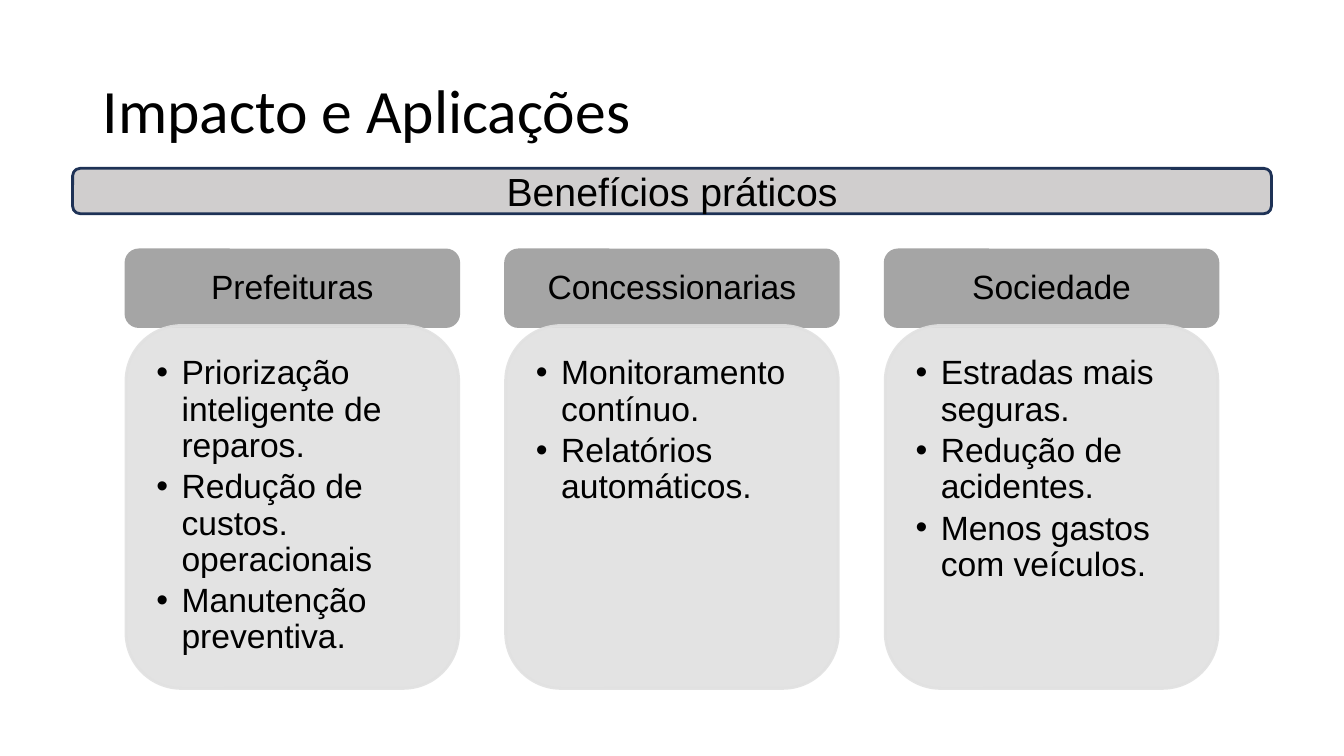
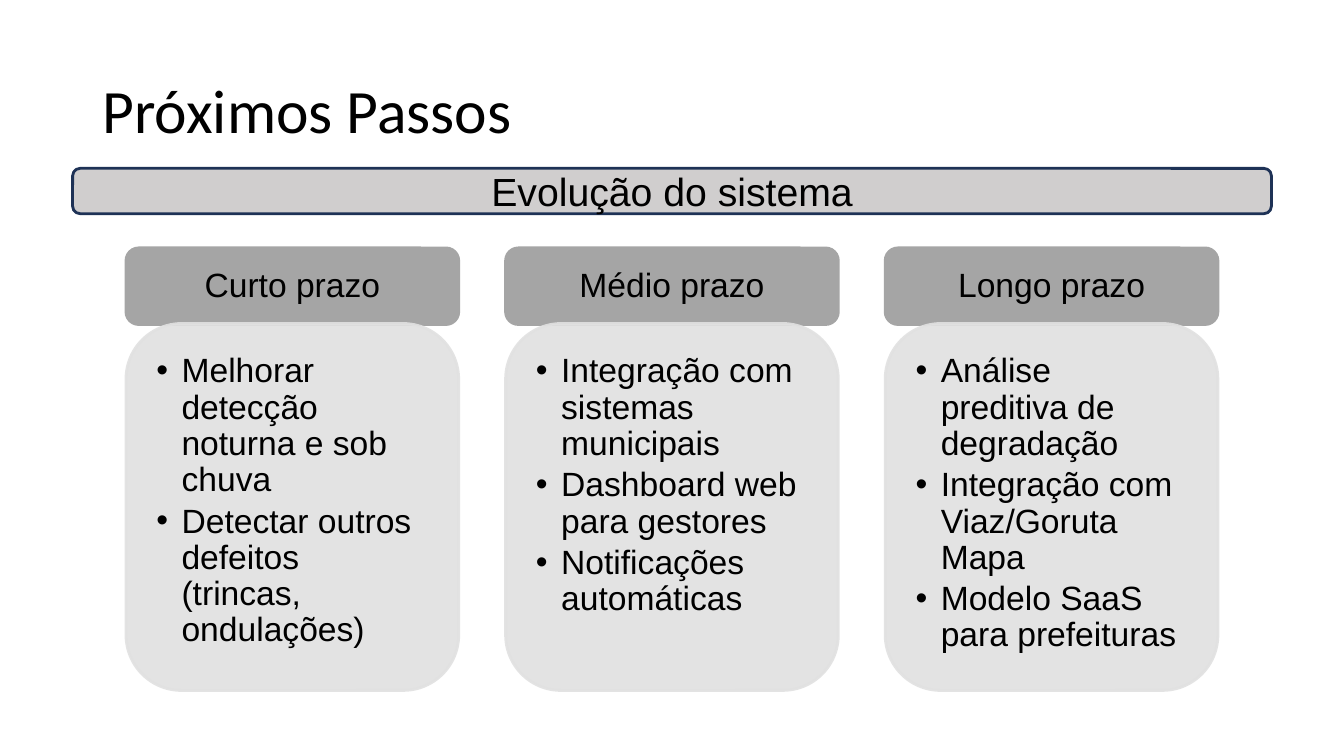
from dataclasses import dataclass
from lxml.etree import SubElement
from pptx import Presentation
from pptx.dml.color import RGBColor
from pptx.enum.shapes import MSO_SHAPE
from pptx.enum.text import MSO_ANCHOR, PP_ALIGN
from pptx.oxml.ns import qn
from pptx.util import Inches, Pt


@dataclass(frozen=True)
class Theme:
    ink: str = "000000"
    band: str = "D0CECE"
    edge: str = "1E3256"
    head: str = "A5A5A5"
    body: str = "E1E1E1"
    title: int = 44
    lead: int = 28
    text: int = 24
    title_font: str = "Calibri"
    font: str = "Arial"
    border: int = 2
    alpha: int = 90


THEME = Theme()
SIDES = ("margin_left", "margin_top", "margin_right", "margin_bottom")
PLAIN = (0.1, 0.05, 0.1, 0.05)
HEAD_PAD = (0.19, 0.11, 0.19, 0.11)
BODY_PAD = (0.14, 0.14, 0.19, 0.21)
CENTER = {"alignment": PP_ALIGN.CENTER}
TIGHT = {"line_spacing": 0.9}
LIST = {"level": 1, "alignment": PP_ALIGN.LEFT, "space_after": Pt(3.6), **TIGHT}


def apply(target, values):
    for name, value in values.items():
        setattr(target, name, value)


def bullet(para):
    props = para._p.get_or_add_pPr()
    props.set("marL", str(Inches(0.25)))
    props.set("indent", str(-Inches(0.25)))
    SubElement(props, qn("a:buFont")).set("typeface", THEME.font)
    SubElement(props, qn("a:buChar")).set("char", "•")


def write(shape, lines, size, form, pad=PLAIN, font=THEME.font,
          anchor=MSO_ANCHOR.MIDDLE, listed=False):
    frame = shape.text_frame
    apply(frame, {"word_wrap": True, "vertical_anchor": anchor})
    apply(frame, {side: Inches(gap) for side, gap in zip(SIDES, pad)})
    for index, line in enumerate(lines):
        para = frame.add_paragraph() if index else frame.paragraphs[0]
        if listed:
            bullet(para)
        apply(para, form)
        run = para.add_run()
        run.text = line
        apply(run.font, {"name": font, "size": Pt(size)})
        run.font.color.rgb = RGBColor.from_string(THEME.ink)


def panel(slide, box, fill, edge, alpha=None):
    shape = slide.shapes.add_shape(MSO_SHAPE.ROUNDED_RECTANGLE, *map(Inches, box))
    shape.shadow.inherit = False
    shape.line.width = Pt(THEME.border)
    for paint, color in ((shape.fill, fill), (shape.line.fill, edge)):
        paint.solid()
        paint.fore_color.rgb = RGBColor.from_string(color)
    if alpha:
        for tone in shape._element.spPr.iter(qn("a:srgbClr")):
            SubElement(tone, qn("a:alpha")).set("val", str(alpha * 1000))
    return shape


def title(slide, box, text):
    shape = slide.shapes.add_textbox(*map(Inches, box))
    write(shape, [text], THEME.title, TIGHT, font=THEME.title_font)


def band(slide, box, text):
    shape = panel(slide, box, THEME.band, THEME.edge)
    write(shape, [text], THEME.lead, CENTER)


def card(slide, box, name, items):
    left, top, width, height = box
    drop = 0.75
    head = panel(slide, (left, top, width, 0.76), THEME.head, THEME.head)
    write(head, [name], THEME.text, {**CENTER, **TIGHT}, HEAD_PAD)
    body = panel(slide, (left, top + drop, width, height - drop),
                 THEME.body, THEME.body, THEME.alpha)
    write(body, items, THEME.text, LIST, BODY_PAD,
          anchor=MSO_ANCHOR.TOP, listed=True)


def cards(slide, box, groups):
    left, top, width, height = box
    wide = 3.3
    step = (width - wide) / (len(groups) - 1)
    for index, (name, items) in enumerate(groups.items()):
        card(slide, (left + index * step, top, wide, height), name, items)


def page(deck, head, lead, top, height, groups):
    slide = deck.slides.add_slide(deck.slide_layouts[6])
    title(slide, (0.92, 0.4, 11.5, 1.45), head)
    cards(slide, (1.25, top, 10.83, height), groups)
    band(slide, (0.72, 1.67, 11.89, 0.45), lead)


PAGES = [
    ("Impacto e Aplicações", "Benefícios práticos", 2.48, 4.35, {
        "Prefeituras": ["Priorização inteligente de reparos.",
                        "Redução de custos. operacionais",
                        "Manutenção preventiva."],
        "Concessionarias": ["Monitoramento contínuo.",
                            "Relatórios automáticos."],
        "Sociedade": ["Estradas mais seguras.",
                      "Redução de acidentes.",
                      "Menos gastos com veículos."],
    }),
    ("Próximos Passos", "Evolução do sistema", 2.46, 4.39, {
        "Curto prazo": ["Melhorar detecção noturna e sob chuva",
                        "Detectar outros defeitos (trincas, ondulações)"],
        "Médio prazo": ["Integração com sistemas municipais",
                        "Dashboard web para gestores",
                        "Notificações automáticas"],
        "Longo prazo": ["Análise preditiva de degradação",
                        "Integração com Viaz/Goruta Mapa",
                        "Modelo SaaS para prefeituras"],
    }),
]


def main():
    deck = Presentation()
    apply(deck, {"slide_width": Inches(13.33), "slide_height": Inches(7.5)})
    for parts in PAGES:
        page(deck, *parts)
    deck.save("out.pptx")


if __name__ == "__main__":
    main()
